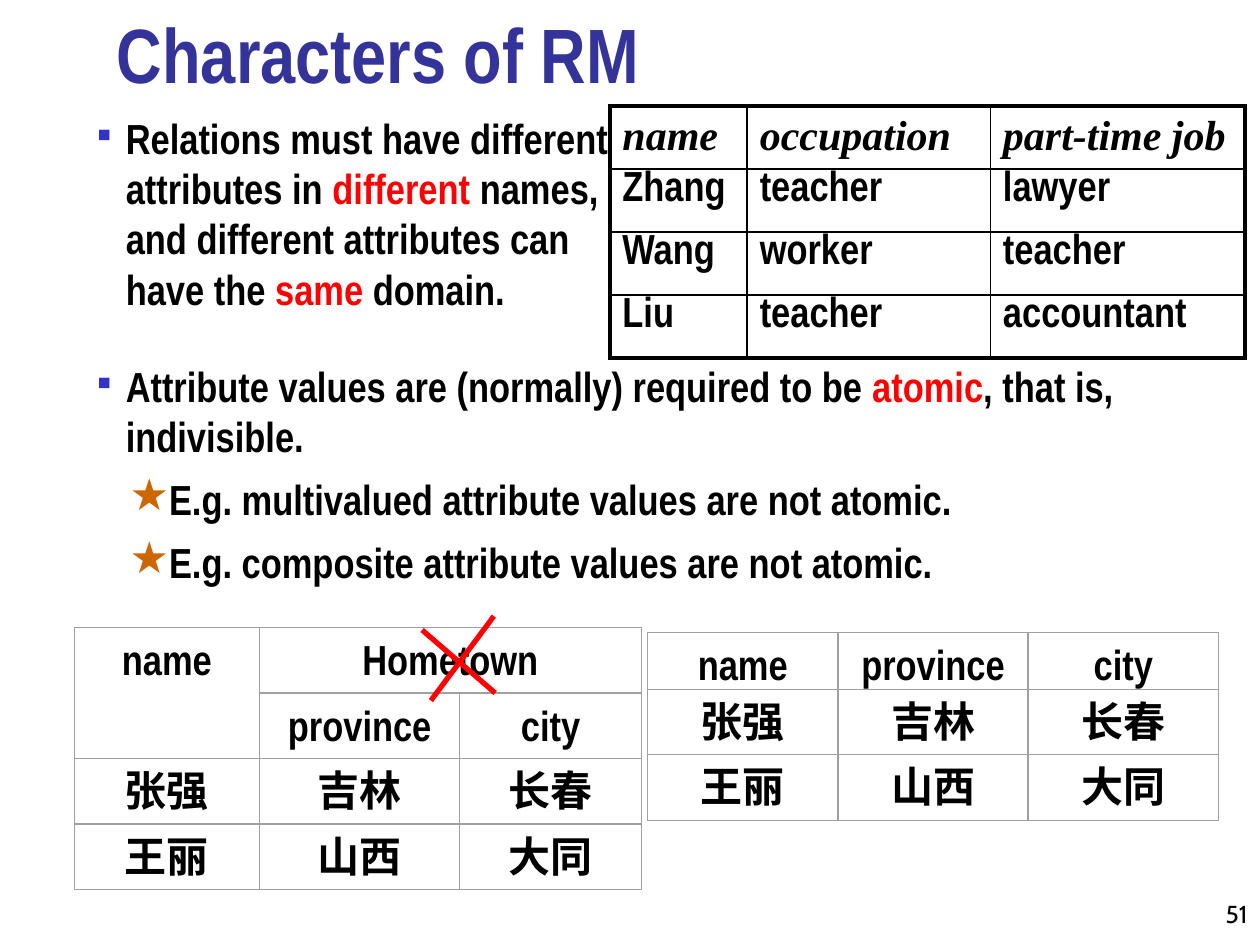
from dataclasses import dataclass

from lxml.etree import SubElement
from pptx import Presentation
from pptx.dml.color import RGBColor
from pptx.enum.shapes import MSO_CONNECTOR, MSO_SHAPE
from pptx.enum.text import MSO_ANCHOR, PP_ALIGN
from pptx.oxml.ns import qn
from pptx.util import Inches, Pt

NARROW, SERIF, SANS = "Arial Narrow", "Times New Roman", "Cabin"
BLACK, RED, GREY, TITLE = "000000", "FF0000", "A0A0A0", "333399"


@dataclass
class Bullet:
    char: str
    color: str
    margin: float
    hang: float
    size: int = 100
    before: float = 0


@dataclass
class Box:
    text: str
    left: float
    top: float
    width: float
    height: float


SQUARE = Bullet("▪", "3333CC", 0.23, 0.23)
STAR = Bullet("★", "CC6600", 0.56, 0.3, 105, 7.2)


def rgb(value: str) -> RGBColor:
    return RGBColor.from_string(value)


def add_run(p, text: str, size: float = 24, font: str = NARROW, color: str = BLACK,
            bold: bool = True, italic: bool = False) -> None:
    r = p.add_run()
    r.text = text
    r.font.size, r.font.name = Pt(size), font
    r.font.bold, r.font.italic = bold, italic
    r.font.color.rgb = rgb(color)


def add_text_frame(s, left: float, top: float, width: float, height: float,
                   anchor=MSO_ANCHOR.TOP):
    sp = s.shapes.add_textbox(Inches(left), Inches(top), Inches(width), Inches(height))
    tf = sp.text_frame
    tf.word_wrap = True
    tf.vertical_anchor = anchor
    return tf


def set_bullet(p, bullet: Bullet) -> None:
    pPr = p._p.get_or_add_pPr()
    pPr.set("marL", str(Inches(bullet.margin)))
    pPr.set("indent", str(-Inches(bullet.hang)))
    color = SubElement(pPr, qn("a:buClr"))
    SubElement(color, qn("a:srgbClr"), val=bullet.color)
    SubElement(pPr, qn("a:buSzPct"), val=str(bullet.size * 1000))
    SubElement(pPr, qn("a:buFont"), typeface=NARROW)
    SubElement(pPr, qn("a:buChar"), char=bullet.char)


def add_bullets(s, left: float, top: float, width: float, height: float,
                items: list[tuple[Bullet, list[tuple[str, str]]]]) -> None:
    tf = add_text_frame(s, left, top, width, height)
    for i, (bullet, runs) in enumerate(items):
        p = tf.add_paragraph() if i else tf.paragraphs[0]
        set_bullet(p, bullet)
        if i:
            p.space_before = Pt(bullet.before)
        for text, color in runs:
            add_run(p, text, color=color)


def add_box(s, box: Box) -> None:
    sp = s.shapes.add_shape(MSO_SHAPE.RECTANGLE, Inches(box.left), Inches(box.top),
                            Inches(box.width), Inches(box.height))
    sp.shadow.inherit = False
    sp.fill.background()
    sp.line.color.rgb = rgb(GREY)
    sp.line.width = Pt(0)
    tf = sp.text_frame
    tf.word_wrap = True
    tf.margin_left = tf.margin_right = 0
    tf.vertical_anchor = MSO_ANCHOR.TOP
    p = tf.paragraphs[0]
    p.alignment = PP_ALIGN.CENTER
    add_run(p, box.text)


def add_grid(s, left: float, top: float, widths: list[float], heights: list[float],
             rows: list[list[str]]) -> None:
    for i, row in enumerate(rows):
        for j, text in enumerate(row):
            add_box(s, Box(text, left + sum(widths[:j]), top + sum(heights[:i]),
                           widths[j], heights[i]))


def add_line(s, x1: float, y1: float, x2: float, y2: float) -> None:
    line = s.shapes.add_connector(MSO_CONNECTOR.STRAIGHT, Inches(x1), Inches(y1),
                                  Inches(x2), Inches(y2))
    line.line.color.rgb = rgb(RED)
    line.line.width = Pt(3)
    SubElement(line._element.spPr, qn("a:effectLst"))


def set_border(cell, side: str, width: float) -> None:
    ln = SubElement(cell._tc.get_or_add_tcPr(), qn(f"a:{side}"), w=str(Pt(width)))
    fill = SubElement(ln, qn("a:solidFill"))
    SubElement(fill, qn("a:srgbClr"), val=BLACK)


def add_job_table(s, rows: list[list[str]], widths: list[float], height: float) -> None:
    n_rows, n_cols = len(rows), len(widths)
    table = s.shapes.add_table(n_rows, n_cols, Inches(4.84), Inches(0.84),
                               Inches(sum(widths)), Inches(height * n_rows)).table
    table.first_row = table.horz_banding = False
    for j, width in enumerate(widths):
        table.columns[j].width = Inches(width)
    for i, row in enumerate(rows):
        table.rows[i].height = Inches(height)
        for j, text in enumerate(row):
            cell = table.cell(i, j)
            outer = {"lnL": j == 0, "lnR": j == n_cols - 1,
                     "lnT": i == 0, "lnB": i == n_rows - 1}
            for side, is_outer in outer.items():
                set_border(cell, side, 2.25 if is_outer else 1)
            cell.fill.background()
            cell.margin_top = Inches(0.02 if i else 0)
            cell.margin_bottom = Inches(0 if i else 0.02)
            cell.vertical_anchor = MSO_ANCHOR.TOP if i else MSO_ANCHOR.MIDDLE
            add_run(cell.text_frame.paragraphs[0], text,
                    font=NARROW if i else SERIF, italic=i == 0)


def main() -> None:
    prs = Presentation()
    prs.slide_width, prs.slide_height = Inches(10), Inches(7.5)
    s = prs.slides.add_slide(prs.slide_layouts[6])

    # Slide number and title
    p = add_text_frame(s, 9.33, 6.92, 0.67, 0.5, MSO_ANCHOR.BOTTOM).paragraphs[0]
    p.alignment = PP_ALIGN.RIGHT
    add_run(p, "51", 14, SANS, bold=False)
    tf = add_text_frame(s, 0.83, 0.04, 8.52, 0.75, MSO_ANCHOR.MIDDLE)
    add_run(tf.paragraphs[0], "Characters of RM", 44, color=TITLE)

    # First point
    add_bullets(s, 0.67, 0.84, 4.41, 1.7, [
        (SQUARE, [("Relations must have different attributes in ", BLACK),
                  ("different", RED),
                  (" names, and different attributes can have the ", BLACK),
                  ("same", RED), (" domain.", BLACK)])])

    # Composite attribute, crossed out
    people = [["张强", "吉林", "长春"], ["王丽", "山西", "大同"]]
    add_box(s, Box("name", 0.59, 4.98, 1.47, 1.04))
    add_box(s, Box("Hometown", 2.06, 4.98, 3.03, 0.52))
    add_grid(s, 2.06, 5.5, [1.59, 1.44], [0.52], [["province", "city"]])
    add_grid(s, 0.59, 6.02, [1.47, 1.59, 1.44], [0.52] * 2, people)

    # Atomic attributes
    add_grid(s, 5.14, 5.02, [1.51] * 3, [0.45, 0.52, 0.52],
             [["name", "province", "city"], *people])

    # Red cross
    add_line(s, 3.92, 4.89, 3.42, 5.56)
    add_line(s, 3.35, 5, 3.93, 5.5)

    # Table of jobs
    add_job_table(s, [["name", "occupation", "part-time job"],
                      ["Zhang", "teacher", "lawyer"],
                      ["Wang", "worker", "teacher"],
                      ["Liu", "teacher", "accountant"]], [1.09, 1.93, 2.02], 0.5)

    # Second point with examples
    add_bullets(s, 0.67, 2.81, 9.21, 1.94, [
        (SQUARE, [("Attribute values are (normally) required to be ", BLACK),
                  ("atomic", RED), (", that is, indivisible.", BLACK)]),
        (STAR, [("E.g. multivalued attribute values are not atomic.", BLACK)]),
        (STAR, [("E.g. composite attribute values are not atomic.", BLACK)])])

    prs.save("out.pptx")


if __name__ == "__main__":
    main()
